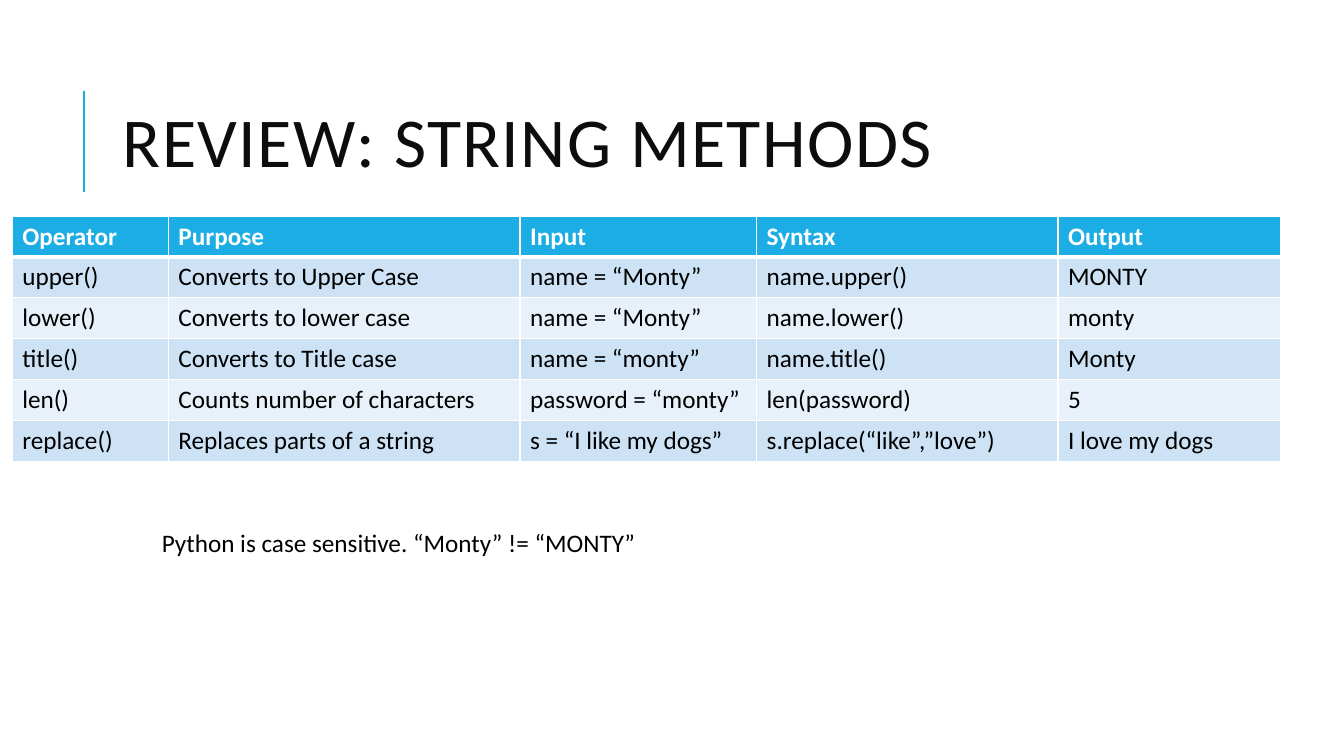
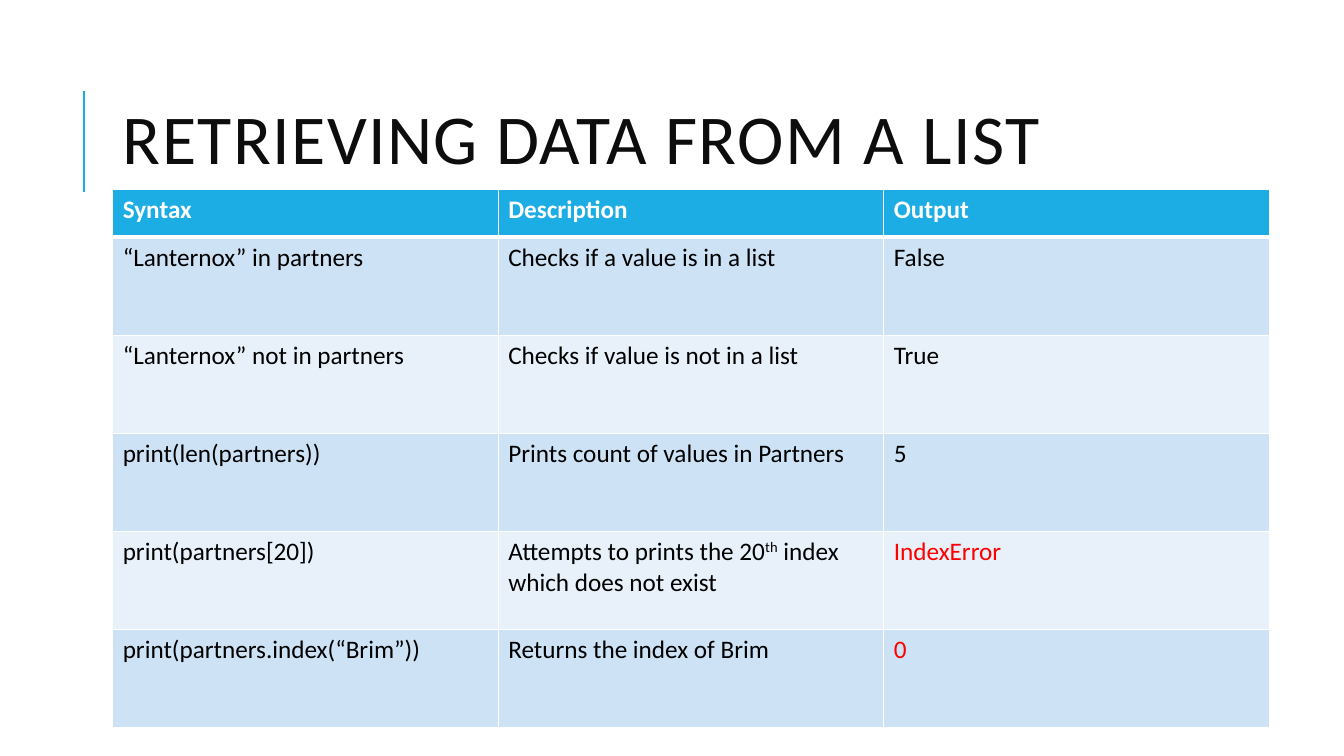
"""Builds two slides of Python reference tables in a shared deck style."""
from dataclasses import dataclass

from lxml import etree
from pptx import Presentation
from pptx import util as u
from pptx.dml.color import RGBColor
from pptx.enum import shapes, text
from pptx.oxml import ns


@dataclass(frozen=True)
class Theme:
    font: str = "Calibri"
    accent: str = "1CADE4"
    bands: tuple = ("CDE3F5", "E8F1FA")
    paper: str = "FFFFFF"
    heading: str = "0D0D0D"
    ink: str = "000000"
    alert: str = "FF0000"
    heading_size: float = 50
    text_size: float = 18
    grid: float = 1
    header_rule: float = 3


class Deck:
    def __init__(self, theme):
        self.theme = theme
        self.file = Presentation()
        self.file.slide_width, self.file.slide_height = u.Pt(960), u.Pt(540)
        self.slide = None

    def style(self, paragraph, color, size=None, bold=False):
        for run in paragraph.runs:
            run.font.name = self.theme.font
            run.font.size = u.Pt(size or self.theme.text_size)
            run.font.bold = bold
            run.font.color.rgb = RGBColor.from_string(color)

    def start(self, heading, top):
        self.slide = self.file.slides.add_slide(self.file.slide_layouts[5])
        self.accent_line()
        title = self.slide.shapes.title
        title.left, title.top, title.width, title.height = map(u.Pt, (80.5, top, 765.5, 118))
        frame = title.text_frame
        frame.text = heading
        frame.auto_size = text.MSO_AUTO_SIZE.NONE
        frame.vertical_anchor = text.MSO_ANCHOR.MIDDLE
        line = frame.paragraphs[0]
        line.alignment = text.PP_ALIGN.LEFT
        line.line_spacing = 0.8
        self.style(line, self.theme.heading, self.theme.heading_size)
        line.runs[0].font._element.set("spc", "100")

    def accent_line(self):
        rule = self.slide.shapes.add_connector(
            shapes.MSO_CONNECTOR.STRAIGHT, *map(u.Pt, (60, 137, 60, 65)))
        rule.line.color.rgb = RGBColor.from_string(self.theme.accent)
        rule.line.width = u.Pt(1.5)
        etree.SubElement(rule._element.spPr, ns.qn("a:effectLst"))

    def note(self, words, left, top, width, height):
        frame = self.slide.shapes.add_textbox(*map(u.Pt, (left, top, width, height))).text_frame
        frame.word_wrap = True
        frame.text = words
        self.style(frame.paragraphs[0], self.theme.ink)

    def borders(self, cell, row):
        properties = cell._tc.get_or_add_tcPr()
        heavy = {0: "lnB", 1: "lnT"}.get(row)
        for side in ("lnL", "lnR", "lnT", "lnB"):
            width = self.theme.header_rule if side == heavy else self.theme.grid
            edge = etree.SubElement(properties, ns.qn(f"a:{side}"), w=str(u.Pt(width)))
            fill = etree.SubElement(edge, ns.qn("a:solidFill"))
            etree.SubElement(fill, ns.qn("a:srgbClr"), val=self.theme.paper)

    def cell(self, cell, words, row, color):
        self.borders(cell, row)
        cell.fill.solid()
        fill = self.theme.bands[(row - 1) % 2] if row else self.theme.accent
        cell.fill.fore_color.rgb = RGBColor.from_string(fill)
        line = cell.text_frame.paragraphs[0]
        for index, part in enumerate(words.split("^")):
            run = line.add_run()
            run.text = part
            if index % 2:
                run.font._element.set("baseline", "30000")
        self.style(line, color, bold=row == 0)

    def table(self, rows, left, top, widths, heights, alerts=()):
        """Fills a banded table; text between carets is superscript."""
        grid = self.slide.shapes.add_table(
            len(rows), len(widths),
            *map(u.Pt, (left, top, sum(widths), sum(heights)))).table
        for column, width in zip(grid.columns, widths):
            column.width = u.Pt(width)
        for row, (entries, height) in enumerate(zip(rows, heights)):
            grid.rows[row].height = u.Pt(height)
            for column, words in enumerate(entries):
                color = self.theme.ink if row else self.theme.paper
                if words in alerts:
                    color = self.theme.alert
                self.cell(grid.cell(row, column), words, row, color)


STRING_METHODS = [
    ("Operator", "Purpose", "Input", "Syntax", "Output"),
    ("upper()", "Converts to Upper Case", "name = “Monty”", "name.upper()", "MONTY"),
    ("lower()", "Converts to lower case", "name = “Monty”", "name.lower()", "monty"),
    ("title()", "Converts to Title case", "name = “monty”", "name.title()", "Monty"),
    ("len()", "Counts number of characters", "password = “monty”", "len(password)", "5"),
    ("replace()", "Replaces parts of a string", "s = “I like my dogs”",
     "s.replace(“like”,”love”)", "I love my dogs"),
]
LIST_LOOKUPS = [
    ("Syntax", "Description", "Output"),
    ("“Lanternox” in partners", "Checks if a value is in a list", "False"),
    ("“Lanternox” not in partners", "Checks if value is not in a list", "True"),
    ("print(len(partners))", "Prints count of values in Partners", "5"),
    ("print(partners[20])",
     "Attempts to prints the 20^th^ index which does not exist", "IndexError"),
    ("print(partners.index(“Brim”))", "Returns the index of Brim", "0"),
]

deck = Deck(Theme())

deck.start("REVIEW: STRING METHODS", top=46)
deck.table(STRING_METHODS, 8.75, 154.25, (111.5, 251.25, 169, 215.25, 159), [29.2] * 6)
deck.note("Python is case sensitive. “Monty” != “MONTY”", 108.5, 372.75, 426, 29)

deck.start("RETRIEVING DATA FROM A LIST", top=44)
deck.table(LIST_LOOKUPS, 80.5, 135.5, [275.4] * 3, [34] + [70] * 5,
           alerts=("IndexError", "0"))

deck.file.save("out.pptx")
